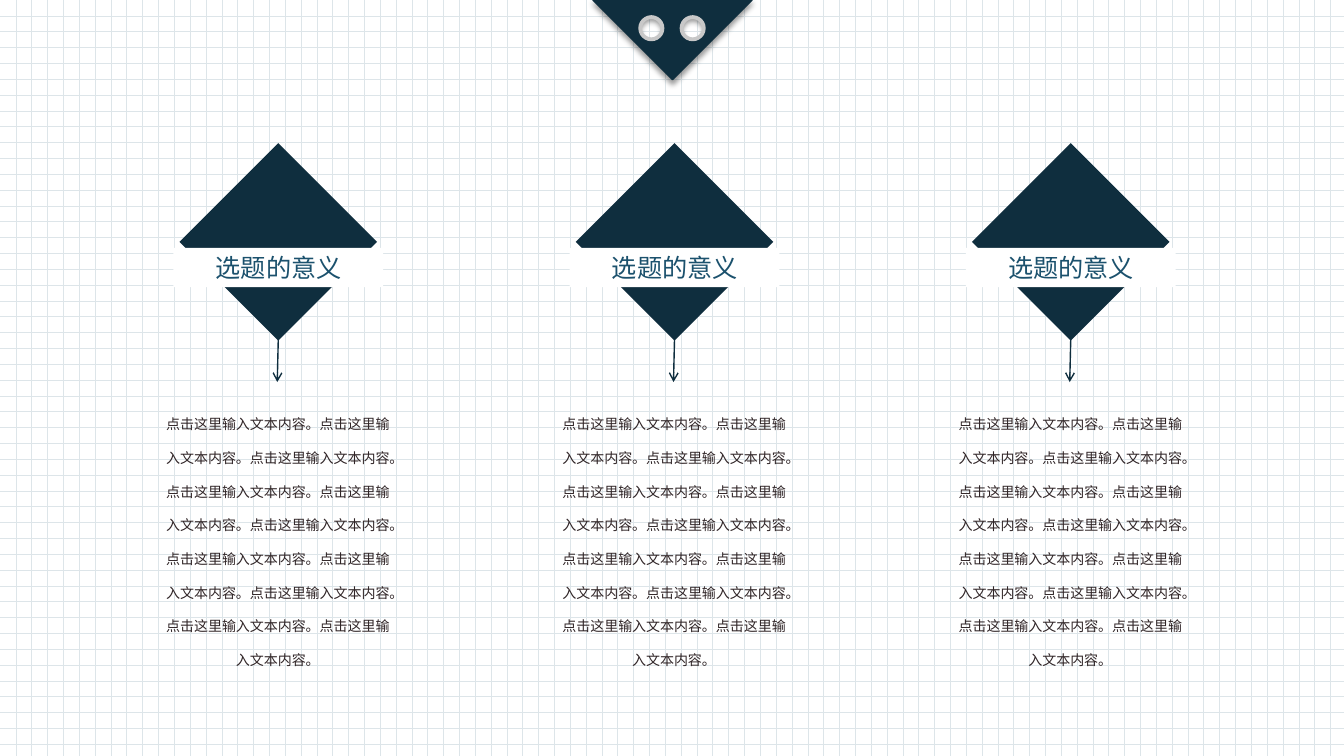
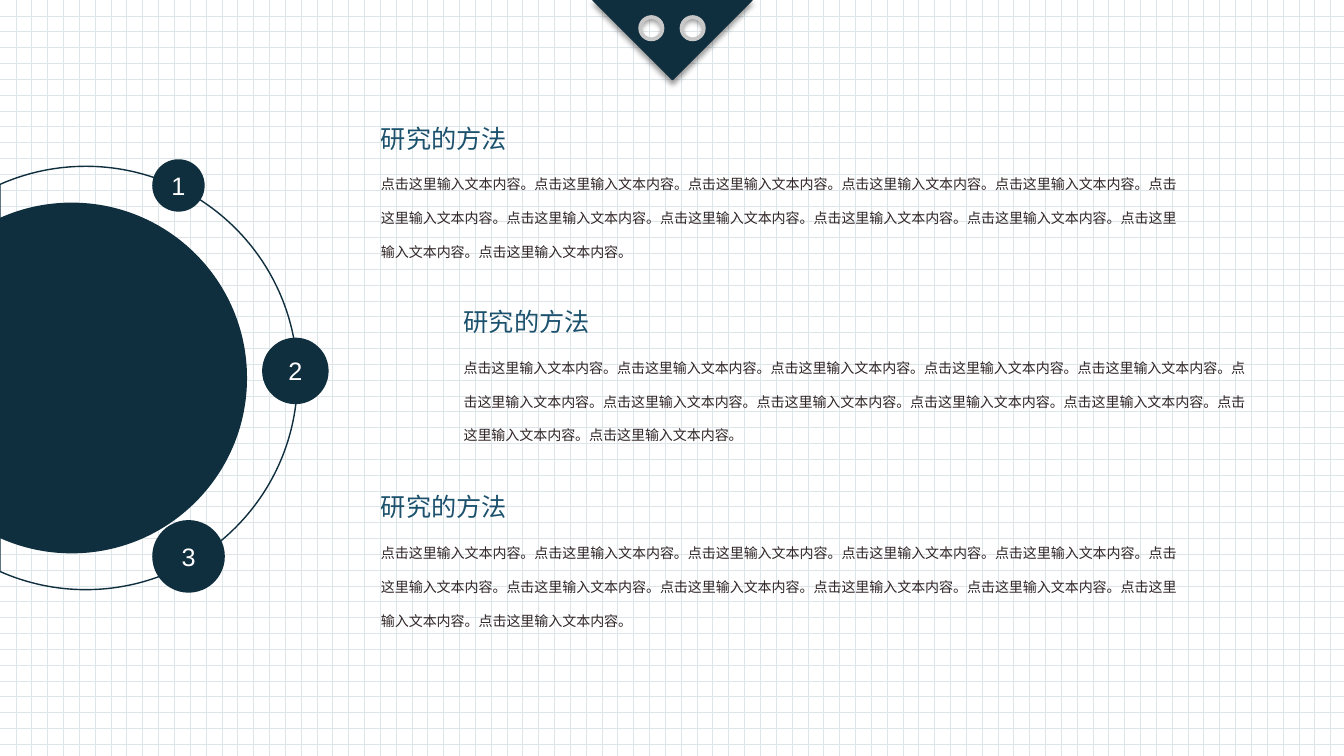
"""Build two thesis slides: three diamond columns and three numbered methods."""
from itertools import pairwise
from math import acos, cos, pi, sin, tan

from lxml.etree import SubElement
from pptx import Presentation
from pptx.dml.color import RGBColor
from pptx.enum.dml import MSO_PATTERN
from pptx.enum.shapes import MSO_CONNECTOR, MSO_SHAPE
from pptx.enum.text import MSO_ANCHOR, MSO_AUTO_SIZE, PP_ALIGN
from pptx.oxml.ns import qn
from pptx.util import Inches, Pt

NAVY = RGBColor(0x0F, 0x2E, 0x3E)
BLUE = RGBColor(0x1B, 0x51, 0x6D)
INK = RGBColor(0x30, 0x25, 0x27)
SILVER = RGBColor(0xC8, 0xC8, 0xC8)
WHITE = RGBColor(0xFF, 0xFF, 0xFF)
BLACK = RGBColor(0, 0, 0)
CHINESE_FONT = "Noto Sans CJK SC"
DIGIT_FONT = "Arial"
SENTENCE = "点击这里输入文本内容。"

COLUMN_CENTERS = [2.76 + 3.93 * column for column in range(3)]
BADGES = [("2", 2.6, 3.35, 0.66), ("1", 1.51, 1.58, 0.52), ("3", 1.51, 5.16, 0.72)]
METHODS = [(3.68, 1.17, 8.09), (4.5, 2.99, 8), (3.68, 4.83, 8.1)]


def inches(*lengths):
    return [Inches(length) for length in lengths]


def style_shape(shape, fill=None, line=None, line_width=1):
    shape.shadow.inherit = False
    if fill is None:
        shape.fill.background()
    else:
        shape.fill.solid()
        shape.fill.fore_color.rgb = fill
    if line is None:
        shape.line.fill.background()
    else:
        shape.line.color.rgb = line
        shape.line.width = Pt(line_width)
    return shape


def add_preset(page, kind, left, top, width, height, **style):
    shape = page.shapes.add_shape(kind, *inches(left, top, width, height))
    return style_shape(shape, **style)


def arc_points(center_x, center_y, radius, sweep=pi):
    """Return Bezier points from angle -sweep to sweep, measured from the right."""
    points = [(center_x + radius * cos(sweep), center_y - radius * sin(sweep))]
    for start, end in pairwise([-sweep, -pi / 2, 0, pi / 2, sweep]):
        pull = 4 / 3 * tan((end - start) / 4)
        for angle, reach in [(start, pull), (end, -pull), (end, 0)]:
            points.append((center_x + radius * (cos(angle) - reach * sin(angle)),
                           center_y + radius * (sin(angle) + reach * cos(angle))))
    return points


def bend_lines(shape, straight_count):
    """Turn each three lines after the straight ones into one curve."""
    route = shape.element.find(f".//{qn('a:path')}")
    lines = route.findall(qn("a:lnTo"))[straight_count:]
    for curve, second, third in zip(lines[::3], lines[1::3], lines[2::3]):
        curve.tag = qn("a:cubicBezTo")
        for line in (second, third):
            curve.append(line[0])
            route.remove(line)


def add_outline(page, contours, straight_count=0, **style):
    builder = None
    for contour in contours:
        start, *others = [inches(*point) for point in contour]
        if builder is None:
            builder = page.shapes.build_freeform(*start, scale=1.0)
        else:
            builder.move_to(*start)
        builder.add_line_segments(others, close=True)
    shape = style_shape(builder.convert_to_shape(), **style)
    bend_lines(shape, straight_count)
    return shape


def add_edge_circle(page, center_x, center_y, radius, **style):
    """Draw a circle cut off by the left edge of the page."""
    sweep = acos(-center_x / radius)
    add_outline(page, [arc_points(center_x, center_y, radius, sweep)], **style)


def add_color_alpha(parent, color, percent):
    swatch = SubElement(parent, qn("a:srgbClr"), val=str(color))
    SubElement(swatch, qn("a:alpha"), val=str(percent * 1000))


def add_drop_shadow(shape):
    effects = shape.element.spPr.find(qn("a:effectLst"))
    shadow = SubElement(effects, qn("a:outerShdw"), blurRad=str(Pt(4)),
                        dist=str(Pt(3)), dir="5400000", algn="t", rotWithShape="0")
    add_color_alpha(shadow, BLACK, 40)


def add_span(para, text, size, color, font_name):
    span = para.add_run()
    span.text = text
    span.font.size = Pt(size)
    span.font.color.rgb = color
    span.font.name = font_name
    if font_name == CHINESE_FONT:
        properties = span._r.get_or_add_rPr()
        properties.set("lang", "zh-CN")
        SubElement(properties, qn("a:ea"), typeface=font_name)


def add_heading(page, text, left, top):
    box = page.shapes.add_textbox(*inches(left, top, 1.45, 0.4))
    box.text_frame.word_wrap = False
    box.text_frame.auto_size = MSO_AUTO_SIZE.SHAPE_TO_FIT_TEXT
    add_span(box.text_frame.paragraphs[0], text, 18, BLUE, CHINESE_FONT)


def add_body(page, text, left, top, width, align=PP_ALIGN.LEFT):
    box = page.shapes.add_textbox(*inches(left, top, width, 1.13))
    box.text_frame.word_wrap = True
    para = box.text_frame.paragraphs[0]
    para.alignment = align
    para.line_spacing = 2.0
    para.space_before = Pt(12)
    add_span(para, text, 10, INK, CHINESE_FONT)


def add_down_arrow(page, center, top, bottom):
    arrow = page.shapes.add_connector(
        MSO_CONNECTOR.STRAIGHT, *inches(center, top, center - 0.01, bottom))
    arrow.line.color.rgb = NAVY
    arrow.line.width = Pt(1)
    properties = arrow.element.spPr
    SubElement(properties.find(qn("a:ln")), qn("a:tailEnd"), type="arrow")
    SubElement(properties, qn("a:effectLst"))


def add_badge(page, number, left, top, size):
    badge = add_preset(page, MSO_SHAPE.OVAL, left, top, size, size, fill=NAVY)
    badge.text_frame.vertical_anchor = MSO_ANCHOR.MIDDLE
    para = badge.text_frame.paragraphs[0]
    para.alignment = PP_ALIGN.CENTER
    add_span(para, number, 18, WHITE, DIGIT_FONT)


def add_column(page, center):
    add_preset(page, MSO_SHAPE.DIAMOND, center - 0.98, 1.42, 1.96, 1.96, fill=NAVY)
    add_preset(page, MSO_SHAPE.RECTANGLE, center - 1.04, 2.46, 2.08, 0.39, fill=WHITE)
    add_down_arrow(page, center, 3.37, 3.79)
    add_heading(page, "选题的意义", center - 0.72, 2.45)
    add_body(page, SENTENCE * 11, center - 1.26, 3.91, 2.51, PP_ALIGN.CENTER)


def add_method(page, left, top, width):
    add_heading(page, "研究的方法", left, top)
    add_body(page, SENTENCE * 12, left, top + 0.36, width)


def add_grid_paper(page):
    area = (0, 0, 13.35, 7.53)
    grid = add_preset(page, MSO_SHAPE.RECTANGLE, *area)
    grid.fill.patterned()
    grid.fill.pattern = MSO_PATTERN.DOTTED_GRID
    grid.fill.fore_color.rgb = BLUE
    grid.fill.back_color.rgb = WHITE
    veil = add_preset(page, MSO_SHAPE.RECTANGLE, *area, fill=WHITE)
    solid = veil.element.spPr.find(qn("a:solidFill"))
    solid.clear()
    add_color_alpha(solid, WHITE, 85)


def add_pennant(page):
    pennant = page.shapes.add_group_shape()
    eyelets = [(6.46, 0.28), (6.87, 0.28)]
    triangle = [(5.88, 0), (7.46, 0), (6.67, 0.79)]
    holes = [arc_points(*eyelet, 0.11) for eyelet in eyelets]
    add_drop_shadow(add_outline(pennant, [triangle, *holes], straight_count=2,
                                fill=NAVY, line=NAVY))
    for center_x, center_y in eyelets:
        add_preset(pennant, MSO_SHAPE.OVAL, center_x - 0.11, center_y - 0.11,
                   0.22, 0.22, line=SILVER, line_width=2.75)


def move_to_layout(page):
    """Make the shapes drawn so far the only content of the shared layout."""
    layout_shapes = page.slide_layout.shapes
    for placeholder in list(layout_shapes):
        layout_shapes.element.remove(placeholder.element)
    for shape in list(page.shapes):
        layout_shapes.element.append(shape.element)


def build_topic_page(page):
    for center in COLUMN_CENTERS:
        add_column(page, center)


def build_method_page(page):
    add_edge_circle(page, 0.71, 3.75, 1.74, fill=NAVY)
    add_edge_circle(page, 0.85, 3.75, 2.1, line=NAVY)
    for badge in BADGES:
        add_badge(page, *badge)
    for method in METHODS:
        add_method(page, *method)


def main():
    deck = Presentation()
    deck.slide_width, deck.slide_height = inches(13.33, 7.5)
    blank = deck.slide_layouts[6]
    topic_page = deck.slides.add_slide(blank)
    add_grid_paper(topic_page)
    add_pennant(topic_page)
    move_to_layout(topic_page)
    build_topic_page(topic_page)
    build_method_page(deck.slides.add_slide(blank))
    deck.save("out.pptx")


if __name__ == "__main__":
    main()
